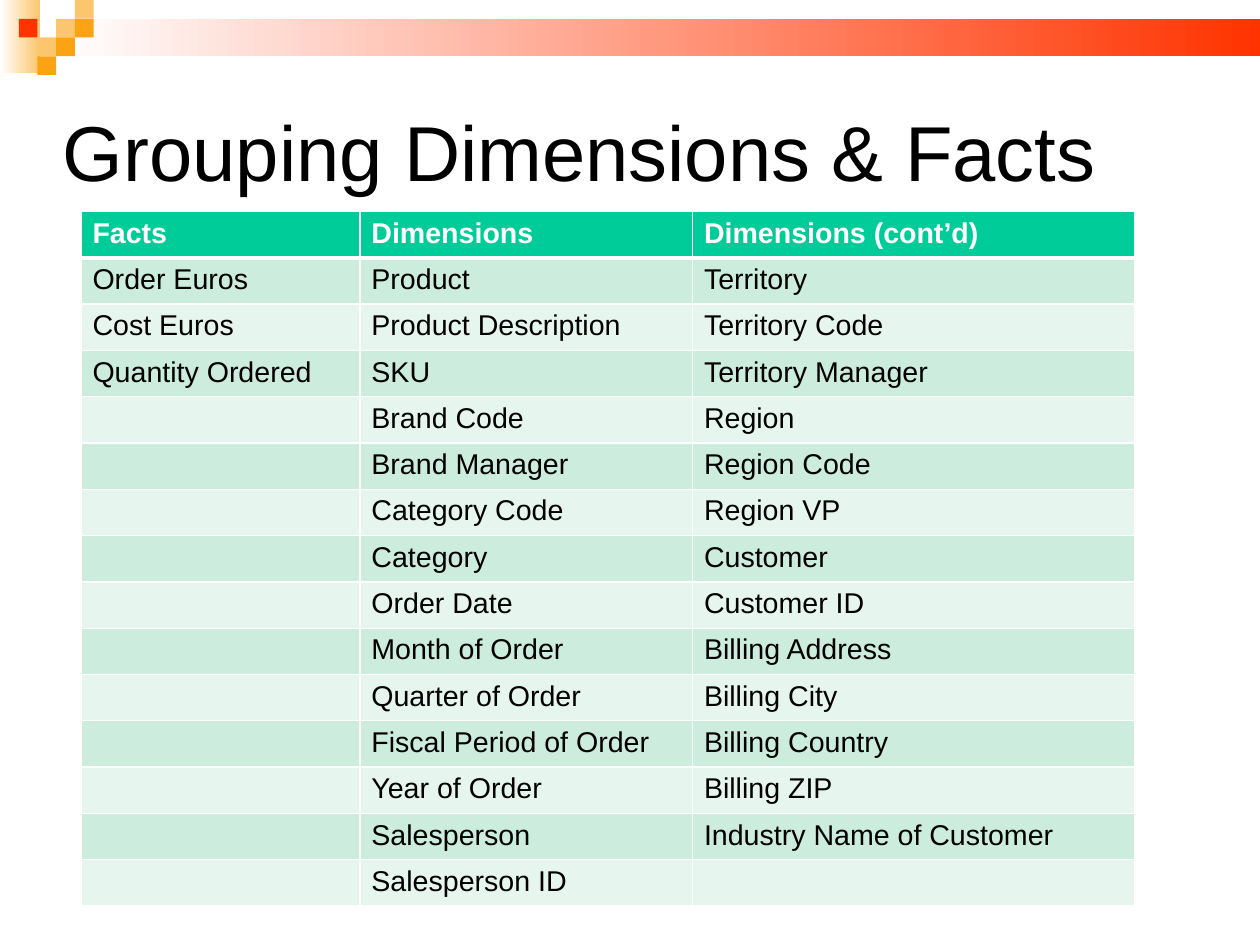
from itertools import zip_longest
from lxml import etree
from pptx import Presentation
from pptx import util as u
from pptx.dml.color import RGBColor
from pptx.enum import shapes, text
from pptx.oxml.ns import qn

COLORS = {
    "red": "FF3300", "amber": "FBA313", "sand": "FCC66E", "white": "FFFFFF",
    "black": "000000", "header": "00CC99", "odd": "CCECDD", "even": "E7F5EF",
}
UNIT = 0.164  # side of one mosaic square, in inches

deck = Presentation()
deck.slide_width, deck.slide_height = u.Cm(28), u.Cm(21)
WIDTH, HEIGHT = deck.slide_width.inches, deck.slide_height.inches
slide = deck.slides.add_slide(deck.slide_layouts[5])


def add_block(left, top, width, height, color, fade=False):
    block = slide.shapes.add_shape(
        shapes.MSO_SHAPE.RECTANGLE, *map(u.Inches, (left, top, width, height)))
    block.shadow.inherit = False
    block.line.fill.background()
    if fade:
        block.fill.gradient()
        block.fill.gradient_angle = 0
        for stop, name in zip(block.fill.gradient_stops, ("white", color)):
            stop.color.rgb = RGBColor.from_string(COLORS[name])
    else:
        block.fill.solid()
        block.fill.fore_color.rgb = RGBColor.from_string(COLORS[color])


def style_font(font, size, color, bold=False):
    values = {"name": "Arial", "size": u.Pt(size), "bold": bold}
    for key, value in values.items():
        setattr(font, key, value)
    font.color.rgb = RGBColor.from_string(COLORS[color])


# Header bands, then mosaic squares as (column, row, color)
add_block(0, 0, 0.35, 0.64, "sand", fade=True)
add_block(0.5, UNIT, WIDTH - 0.5, 2 * UNIT, "red", fade=True)
mosaic = [(3, 1, "sand"), (4, 0, "sand"), (4, 1, "amber"), (2, 2, "sand"),
          (1, 1, "red"), (3, 2, "amber"), (2, 3, "amber")]
for column, row, color in mosaic:
    add_block(column * UNIT, row * UNIT, UNIT, UNIT, color)

# Title
title = slide.shapes.title
title.left, title.top = u.Inches(WIDTH * 0.05), u.Inches(0.55)
title.width, title.height = u.Inches(WIDTH * 0.9), u.Inches(HEIGHT * 0.2)
frame = title.text_frame
frame_format = {
    "margin_left": 0, "margin_top": 0, "margin_right": 0, "margin_bottom": 0,
    "word_wrap": True, "auto_size": text.MSO_AUTO_SIZE.NONE,
    "vertical_anchor": text.MSO_ANCHOR.MIDDLE,
}
for key, value in frame_format.items():
    setattr(frame, key, value)
frame.text = "Grouping Dimensions & Facts"
heading = frame.paragraphs[0]
heading.alignment = text.PP_ALIGN.LEFT
heading.line_spacing = 0.87
style_font(heading.runs[0].font, 49, "black")

# Table content, one list per column
facts = ["Facts", "Order Euros", "Cost Euros", "Quantity Ordered"]
dimensions = [
    "Dimensions", "Product", "Product Description", "SKU", "Brand Code",
    "Brand Manager", "Category Code", "Category", "Order Date",
    "Month of Order", "Quarter of Order", "Fiscal Period of Order",
    "Year of Order", "Salesperson", "Salesperson ID",
]
more_dimensions = [
    "Dimensions (cont’d)", "Territory", "Territory Code", "Territory Manager",
    "Region", "Region Code", "Region VP", "Customer", "Customer ID",
    "Billing Address", "Billing City", "Billing Country", "Billing ZIP",
    "Industry Name of Customer",
]
entries = list(zip_longest(facts, dimensions, more_dimensions, fillvalue=""))
column_widths = [2.44, 2.91, 3.87]
grid = slide.shapes.add_table(
    len(entries), len(column_widths), u.Inches(0.71), u.Inches(1.85),
    u.Inches(sum(column_widths)), u.Inches(6.08)).table
for column, width in zip(grid.columns, column_widths):
    column.width = u.Inches(width)

# Cell text, fills and white borders
for row, words in enumerate(entries):
    band = "header" if row == 0 else ("odd" if row % 2 else "even")
    for column, word in enumerate(words):
        cell = grid.cell(row, column)
        cell.text = word
        line = cell.text_frame.paragraphs[0]
        for styled in (line, *line.runs):
            style_font(styled.font, 18, "black" if row else "white",
                       bold=row == 0)
        properties = cell._tc.get_or_add_tcPr()
        for side in ("L", "R", "T", "B"):
            heavy = (row, side) in ((0, "B"), (1, "T"))
            border = etree.SubElement(properties, qn(f"a:ln{side}"),
                                      w=str(u.Pt(3 if heavy else 0.96)))
            paint = etree.SubElement(border, qn("a:solidFill"))
            etree.SubElement(paint, qn("a:srgbClr"), val=COLORS["white"])
        cell.fill.solid()
        cell.fill.fore_color.rgb = RGBColor.from_string(COLORS[band])

deck.save("out.pptx")
